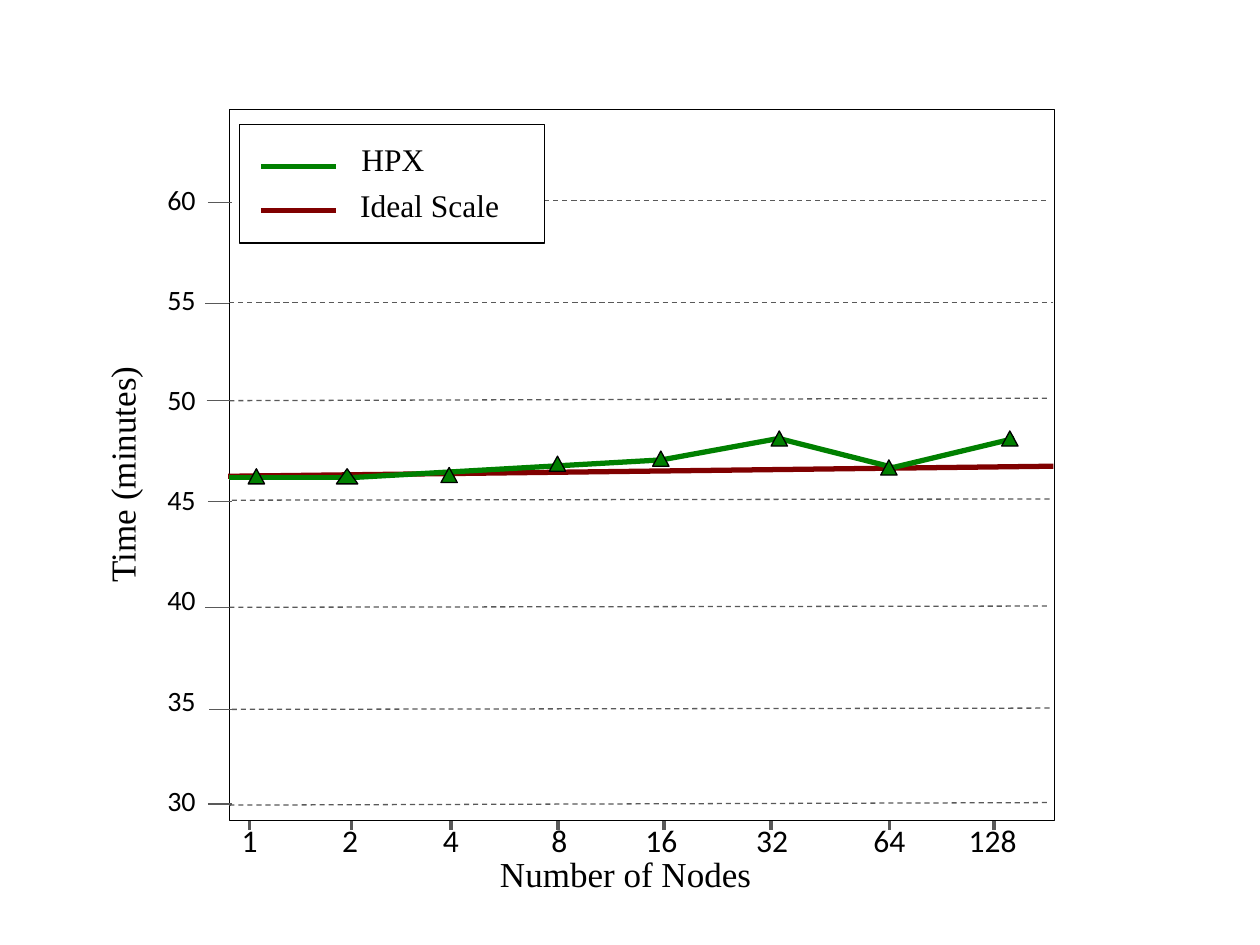
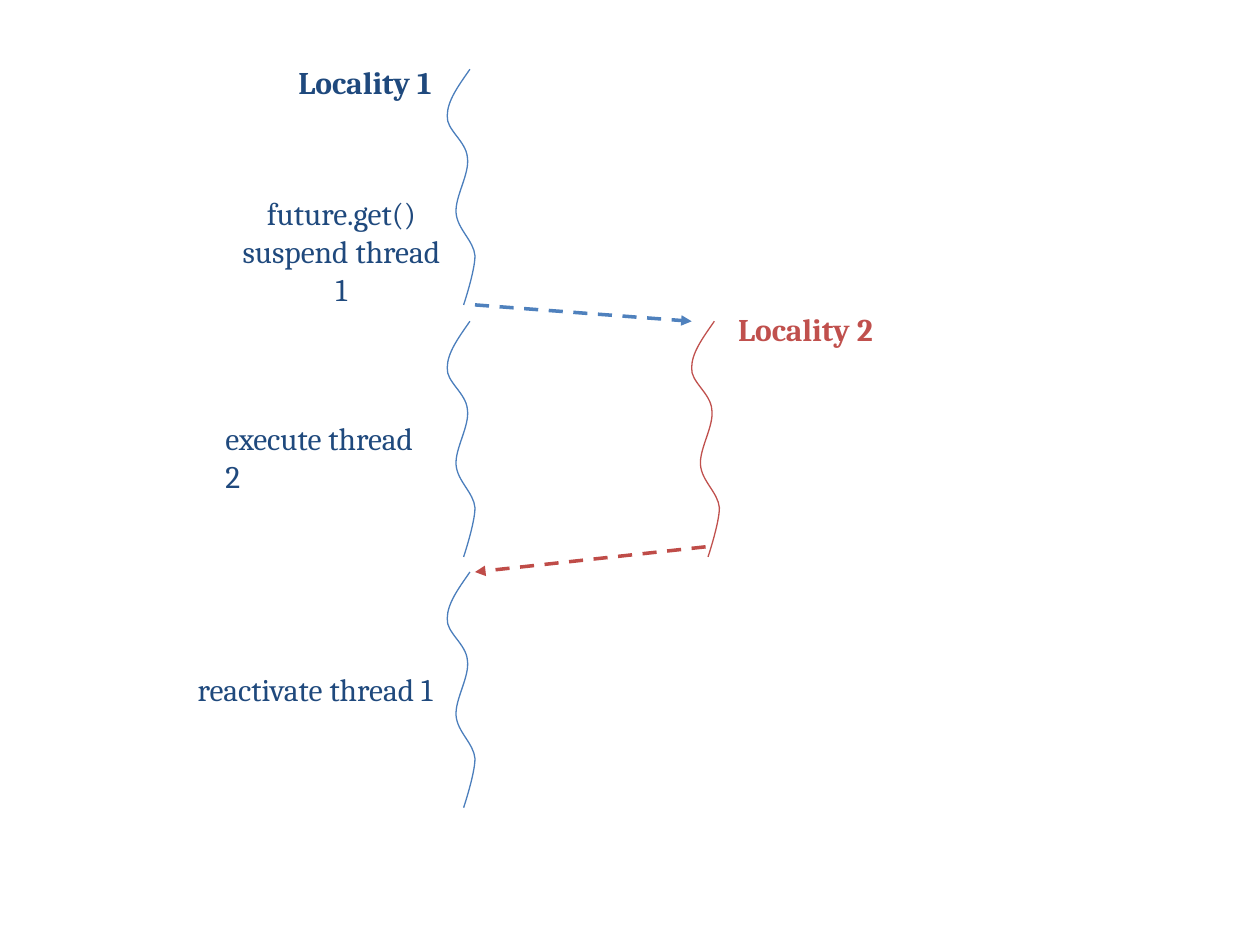
"""Builds two slides: a scaling plot and a thread suspension diagram."""
from dataclasses import dataclass
from itertools import pairwise

from lxml.etree import SubElement
from pptx import Presentation
from pptx.dml.color import RGBColor
from pptx.enum.dml import MSO_LINE_DASH_STYLE as DASH
from pptx.enum.shapes import MSO_CONNECTOR as CONNECTOR, MSO_SHAPE as SHAPE
from pptx.enum.text import PP_ALIGN as ALIGN
from pptx.oxml.ns import qn
from pptx.util import Inches, Pt


@dataclass(frozen=True)
class Theme:
    black: str = "000000"
    grey: str = "595959"
    green: str = "008000"
    maroon: str = "800000"
    navy: str = "1F497D"
    wave_blue: str = "4B7EBC"
    arrow_blue: str = "4F81BD"
    red: str = "C0504D"
    arrow_red: str = "BF4C48"
    axis_font: str = "Calibri"
    plot_font: str = "Times New Roman"
    thread_font: str = "Cambria"
    small: int = 16
    body: int = 18
    large: int = 20
    thin: float = 0.75
    medium: float = 2
    thick: float = 3


WAVE = [(18, 0), (9, 13), (0, 25), (0, 37), (-1, 48), (15, 57), (16, 70), (18, 83),
        (6, 101), (7, 114), (8, 127), (21, 136), (22, 148), (22, 160), (13, 187), (13, 187)]


class Sketch:
    def __init__(self, presentation, theme):
        self.presentation = presentation
        self.theme = theme
        self.slide = None

    def new_slide(self):
        self.slide = self.presentation.slides.add_slide(self.presentation.slide_layouts[6])

    def stroke(self, item, color, width):
        item.line.color.rgb = RGBColor.from_string(color)
        item.line.width = Pt(width)

    def line(self, start, end, color, width, dashed=False, arrow=False):
        connector = self.slide.shapes.add_connector(
            CONNECTOR.STRAIGHT, *(Inches(value) for value in (*start, *end)))
        self.stroke(connector, color, width)
        if dashed:
            connector.line.dash_style = DASH.DASH
        properties = connector.element.spPr
        if arrow:
            SubElement(properties.find(qn("a:ln")), qn("a:tailEnd"), type="triangle")
        SubElement(properties, qn("a:effectLst"))

    def shape(self, kind, box, fill=None):
        shape = self.slide.shapes.add_shape(kind, *(Inches(value) for value in box))
        shape.shadow.inherit = False
        if fill:
            shape.fill.solid()
            shape.fill.fore_color.rgb = RGBColor.from_string(fill)
        else:
            shape.fill.background()
        self.stroke(shape, self.theme.black, self.theme.thin)

    def wave(self, left, top, color):
        builder = self.slide.shapes.build_freeform(*WAVE[0], scale=float(Inches(0.01)))
        builder.add_line_segments(WAVE[1:], close=False)
        shape = builder.convert_to_shape(Inches(left), Inches(top))
        shape.shadow.inherit = False
        shape.fill.background()
        self.stroke(shape, color, self.theme.thin)
        path = next(shape.element.iter(qn("a:path")))
        segments = path.findall(qn("a:lnTo"))
        for first in range(0, len(segments), 3):
            curve = SubElement(path, qn("a:cubicBezTo"))
            for segment in segments[first:first + 3]:
                curve.append(segment[0])
                path.remove(segment)

    def text(self, words, box, font, size, color, bold=False, align=ALIGN.LEFT,
             wrap=False, gap=0, tabs=(), rotation=0):
        shape = self.slide.shapes.add_textbox(*(Inches(value) for value in box))
        shape.rotation = rotation
        frame = shape.text_frame
        frame.word_wrap = wrap
        frame.text = words
        for index, paragraph in enumerate(frame.paragraphs):
            paragraph.alignment = align
            if index and gap:
                paragraph.space_before = Pt(gap)
            if tabs:
                tab_list = SubElement(paragraph._p.get_or_add_pPr(), qn("a:tabLst"))
                for position in tabs:
                    SubElement(tab_list, qn("a:tab"), pos=str(Inches(position)), algn="ctr")
            for run in paragraph.runs:
                run.font.name = font
                run.font.size = Pt(size)
                run.font.bold = bold
                run.font.color.rgb = RGBColor.from_string(color)


def build_scaling_plot(sketch):
    theme = sketch.theme
    sketch.new_slide()
    sketch.shape(SHAPE.RECTANGLE, (1.82, 0.87, 6.55, 5.64))

    sketch.text("1\t2\t4\t8\t16\t32\t64\t128", (1.82, 6.47, 6.52, 0.4), theme.axis_font,
                theme.body, theme.black, wrap=True,
                tabs=(0.86, 1.66, 2.52, 3.33, 4.21, 5.14, 5.96))
    sketch.text("\n".join(str(minutes) for minutes in range(60, 29, -5)),
                (1.23, 1.4, 0.43, 5.2), theme.axis_font, theme.small, theme.black, gap=38)
    for x in (1.98, 2.79, 3.58, 4.43, 5.27, 6.12, 7.06, 7.89):
        sketch.line((x, 6.52), (x, 6.59), theme.grey, theme.medium)
    for x, y in ((1.65, 1.61), (1.63, 2.41), (1.64, 3.18), (1.65, 3.98),
                 (1.63, 4.82), (1.66, 5.63), (1.65, 6.38)):
        sketch.line((x, y), (x + 0.19, y), theme.grey, theme.thin)
    for start, end in (((4.32, 1.59), (8.32, 1.59)), ((1.82, 2.4), (8.36, 2.4)),
                       ((1.82, 3.18), (8.33, 3.16)), ((1.84, 3.97), (8.35, 3.96)),
                       ((1.82, 4.82), (8.33, 4.81)), ((1.84, 5.63), (8.35, 5.62)),
                       ((1.82, 6.39), (8.33, 6.37))):
        sketch.line(start, end, theme.grey, theme.thin, dashed=True)

    sketch.text("Number of Nodes", (3.87, 6.72, 2.23, 0.44), theme.plot_font,
                theme.large, theme.black)
    sketch.text("Time (minutes)", (-0.43, 3.1, 2.8, 0.44), theme.plot_font,
                theme.large, theme.black, wrap=True, rotation=270)

    sketch.shape(SHAPE.RECTANGLE, (1.9, 0.99, 2.42, 0.94))
    for name, color, y, box in (("HPX", theme.green, 1.32, (2.77, 1.06, 0.71, 0.4)),
                                ("Ideal Scale", theme.maroon, 1.67, (2.76, 1.43, 1.32, 0.4))):
        sketch.line((2.07, y), (2.67, y), color, theme.thick)
        sketch.text(name, box, theme.plot_font, theme.body, theme.black)

    sketch.line((1.81, 3.78), (8.36, 3.7), theme.maroon, theme.thick)
    hpx_points = ((1.82, 3.79), (2.8, 3.79), (5.25, 3.65), (6.18, 3.48), (7.09, 3.71), (8.05, 3.48))
    for start, end in pairwise(hpx_points):
        sketch.line(start, end, theme.green, theme.thick)
    for x, y, width in ((1.97, 3.72, 0.13), (2.67, 3.72, 0.17), (3.5, 3.71, 0.13),
                        (4.36, 3.62, 0.13), (5.18, 3.58, 0.13), (6.12, 3.42, 0.13),
                        (6.99, 3.65, 0.13), (7.95, 3.42, 0.13)):
        sketch.shape(SHAPE.ISOSCELES_TRIANGLE, (x, y, width, 0.12), theme.green)


def build_thread_diagram(sketch):
    theme = sketch.theme
    sketch.new_slide()
    for top in (0.55, 2.55, 4.54):
        sketch.wave(3.55, top, theme.wave_blue)
    sketch.wave(5.49, 2.55, theme.red)
    for start, end, color in (((3.77, 2.42), (5.49, 2.55), theme.arrow_blue),
                              ((5.6, 4.34), (3.77, 4.54), theme.arrow_red)):
        sketch.line(start, end, color, theme.medium, dashed=True, arrow=True)

    for words, box, color in (("Locality 2", (5.76, 2.41, 1.27, 0.4), theme.red),
                              ("Locality 1", (2.27, 0.45, 1.27, 0.4), theme.navy)):
        sketch.text(words, box, theme.thread_font, theme.body, color, bold=True)
    for words, box, align, wrap in (
            ("future.get()\nsuspend thread 1", (1.76, 1.49, 1.9, 0.71), ALIGN.CENTER, True),
            ("execute thread 2", (1.69, 3.28, 1.86, 0.4), ALIGN.LEFT, True),
            ("reactivate thread 1", (1.47, 5.27, 2.07, 0.4), ALIGN.LEFT, False)):
        sketch.text(words, box, theme.thread_font, theme.body, theme.navy, align=align, wrap=wrap)


def main():
    presentation = Presentation()
    presentation.slide_width = Inches(10)
    presentation.slide_height = Inches(7.5)
    sketch = Sketch(presentation, Theme())
    build_scaling_plot(sketch)
    build_thread_diagram(sketch)
    presentation.save("out.pptx")


if __name__ == "__main__":
    main()
